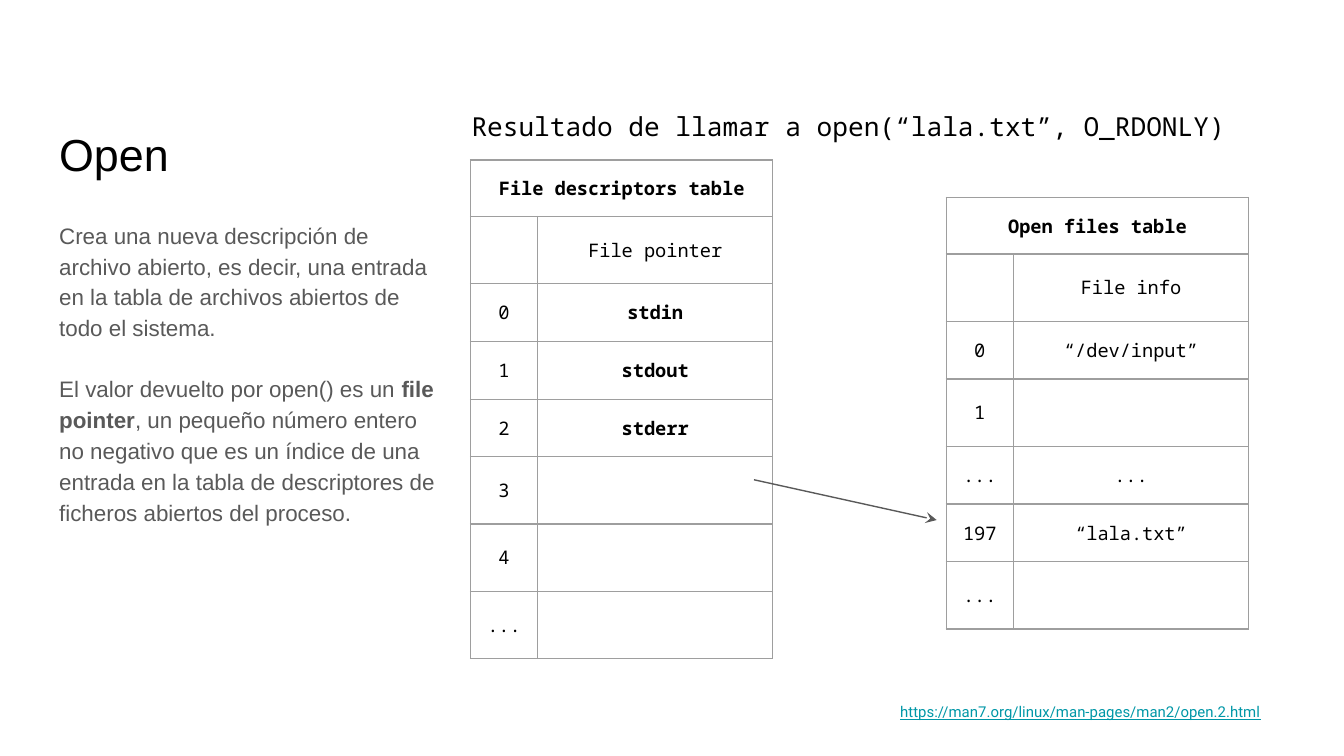
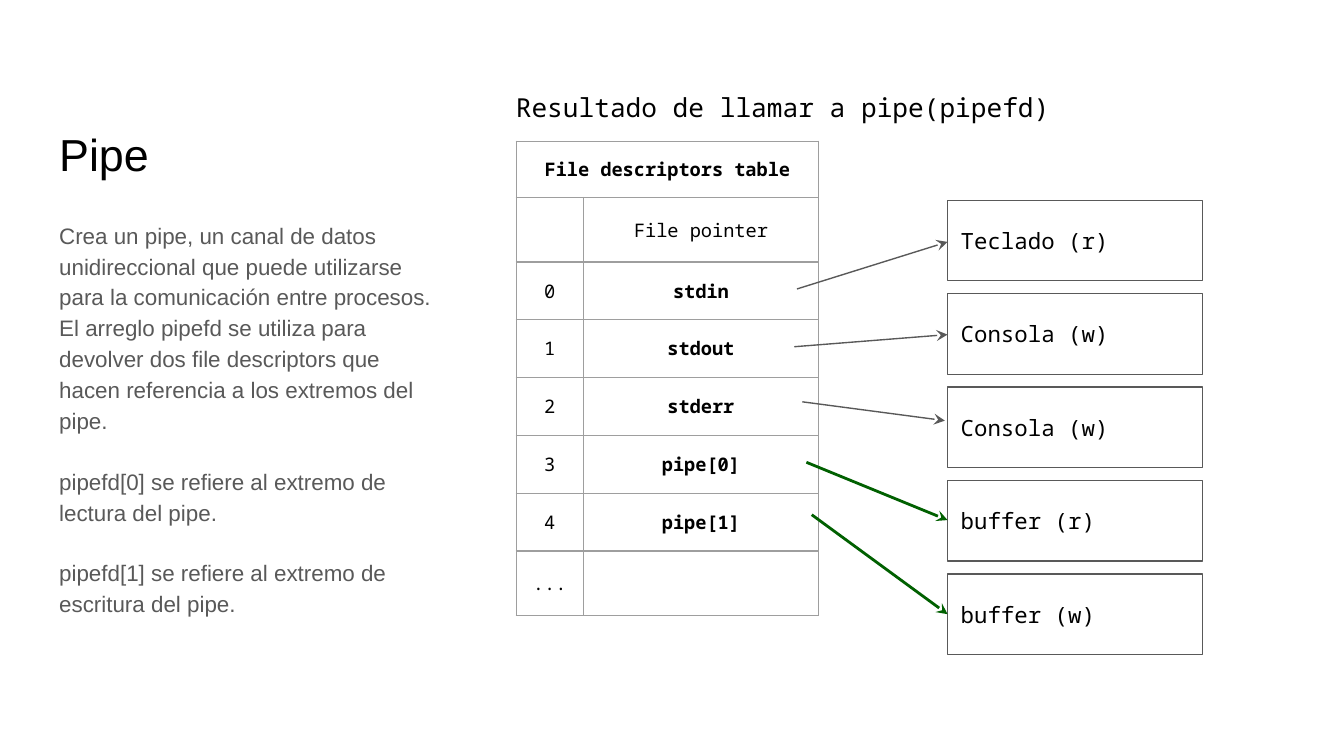
"""Builds two slides about the open and pipe system calls."""
from lxml.etree import SubElement
from pptx import Presentation
from pptx.dml.color import RGBColor
from pptx.enum.shapes import MSO_CONNECTOR, MSO_SHAPE
from pptx.enum.text import MSO_ANCHOR, MSO_AUTO_SIZE, PP_ALIGN
from pptx.oxml.ns import qn
from pptx.util import Inches, Pt

BLACK, GRAY, RULE, WHITE = "000000", "595959", "9E9E9E", "FFFFFF"
GREEN, TEAL = "006000", "0097A7"
SANS, MONO = "Arial", "Noto Sans Mono"
TITLE = dict(size=24, name=SANS, color=BLACK)
BODY = dict(size=12, name=SANS, color=GRAY)
CAPTION = dict(size=14, name=MONO, color=BLACK)
CELL = dict(size=10, name=MONO, color=BLACK)
BOX = dict(size=12, name=MONO, color=BLACK)
LINK = dict(size=8, name="Roboto", color=TEAL, underline=True)

STANDARD = [("0", "stdin"), ("1", "stdout"), ("2", "stderr")]
SLIDES = [
    dict(
        title="Open",
        body=[
            [("Crea una nueva descripción de archivo abierto, es decir, una entrada "
              "en la tabla de archivos abiertos de todo el sistema.", False)],
            [("El valor devuelto por open() es un ", False), ("file pointer", True),
             (", un pequeño número entero no negativo que es un índice de una entrada "
              "en la tabla de descriptores de ficheros abiertos del proceso.", False)],
        ],
        caption=("Resultado de llamar a open(“lala.txt”, O_RDONLY)", (3.41, 0.72, 6.31, 0.48)),
        tables=[
            dict(at=(3.5, 1.19), tall=0.5, bold=True, heads=("File descriptors table", "File pointer"),
                 rows=STANDARD + [("3", ""), ("4", ""), ("...", "")]),
            dict(at=(7.04, 1.47), tall=0.5, bold=False, heads=("Open files table", "File info"),
                 rows=[("0", "“/dev/input”"), ("1", ""), ("...", "..."),
                       ("197", "“lala.txt”"), ("...", "")]),
        ],
        arrows=[((5.61, 3.57), (6.97, 3.87), GRAY, 0.75)],
        boxes=[],
        link="https://man7.org/linux/man-pages/man2/open.2.html",
    ),
    dict(
        title="Pipe",
        body=[
            [("Crea un pipe, un canal de datos unidireccional que puede utilizarse para la "
              "comunicación entre procesos. El arreglo pipefd se utiliza para devolver dos "
              "file descriptors que hacen referencia a los extremos del pipe.", False)],
            [("pipefd[0] se refiere al extremo de lectura del pipe.", False)],
            [("pipefd[1] se refiere al extremo de escritura del pipe.", False)],
        ],
        caption=("Resultado de llamar a pipe(pipefd)", (3.74, 0.58, 4.43, 0.48)),
        tables=[
            dict(at=(3.84, 1.05), tall=0.48, bold=True, heads=("File descriptors table", "File pointer"),
                 rows=STANDARD + [("3", "pipe[0]"), ("4", "pipe[1]"), ("...", "")]),
        ],
        arrows=[
            ((5.93, 2.15), (7.05, 1.8), GRAY, 0.75),
            ((5.91, 2.58), (7.05, 2.49), GRAY, 0.75),
            ((5.97, 2.99), (7.03, 3.13), GRAY, 0.75),
            ((6, 3.44), (7.05, 3.87), GREEN, 1.5),
            ((6.04, 3.83), (7.05, 4.57), GREEN, 1.5),
        ],
        boxes=["Teclado (r)", "Consola (w)", "Consola (w)", "buffer (r)", "buffer (w)"],
        link=None,
    ),
]


def rgb(color):
    return RGBColor.from_string(color)


def inches(*values):
    return [Inches(v) for v in values]


def add_run(p, text, fmt, bold=False):
    r = p.add_run()
    r.text = text
    for key, value in {**fmt, "bold": bold}.items():
        if key == "color":
            r.font.color.rgb = rgb(value)
        else:
            setattr(r.font, key, Pt(value) if key == "size" else value)


def set_frame(tf, anchor=MSO_ANCHOR.TOP):
    frame = dict(word_wrap=True, auto_size=MSO_AUTO_SIZE.NONE, vertical_anchor=anchor)
    for side in ("left", "right", "top", "bottom"):
        frame["margin_" + side] = Inches(0.1)
    for key, value in frame.items():
        setattr(tf, key, value)


def place(shape, box):
    for key, value in zip(("left", "top", "width", "height"), inches(*box)):
        setattr(shape, key, value)


def write_line(shape, text, fmt, align=PP_ALIGN.LEFT, anchor=MSO_ANCHOR.TOP):
    set_frame(shape.text_frame, anchor)
    p = shape.text_frame.paragraphs[0]
    p.alignment = align
    add_run(p, text, fmt)


def write_body(shape, paragraphs):
    tf = shape.text_frame
    set_frame(tf)
    for i, parts in enumerate(paragraphs):
        p = tf.add_paragraph() if i else tf.paragraphs[0]
        p.line_spacing = 1.15
        p.space_before = Pt(16 if i else 0)
        pPr = p._p.get_or_add_pPr()
        pPr.set("marL", "0")
        pPr.set("indent", "0")
        SubElement(pPr, qn("a:buNone"))
        for text, bold in parts:
            add_run(p, text, BODY, bold)


def set_borders(cell):
    tcPr = cell._tc.get_or_add_tcPr()
    for i, side in enumerate(("lnL", "lnR", "lnT", "lnB")):
        ln = tcPr.makeelement(qn("a:" + side), {"w": str(Pt(0.75))})
        fill = SubElement(ln, qn("a:solidFill"))
        SubElement(fill, qn("a:srgbClr"), val=RULE)
        tcPr.insert(i, ln)


def add_grid(s, at, tall, bold, heads, rows):
    cells = [(heads[0], ""), ("", heads[1])] + rows
    heights = [0.42] + [0.43 if all(row) else tall for row in cells[1:]]
    table = s.shapes.add_table(len(cells), 2, *inches(*at, 2.25, sum(heights))).table
    table.first_row = table.horz_banding = False
    for col, width in zip(table.columns, (0.5, 1.75)):
        col.width = Inches(width)
    for i, (row, height) in enumerate(zip(cells, heights)):
        table.rows[i].height = Inches(height)
        for j, text in enumerate(row):
            cell = table.cell(i, j)
            cell.fill.solid()
            cell.fill.fore_color.rgb = rgb(WHITE)
            set_borders(cell)
            cell.vertical_anchor = MSO_ANCHOR.MIDDLE
            for side in ("left", "right", "top", "bottom"):
                setattr(cell, "margin_" + side, Inches(0.1))
            p = cell.text_frame.paragraphs[0]
            p.alignment = PP_ALIGN.CENTER
            if text:
                add_run(p, text, CELL, i == 0 or (bold and i > 1 and j == 1))
            else:
                SubElement(p._p, qn("a:endParaRPr"), sz="1000")
    table.cell(0, 0).merge(table.cell(0, 1))


def add_arrow(s, start, end, color, width):
    line = s.shapes.add_connector(MSO_CONNECTOR.STRAIGHT, *inches(*start, *end))
    line.line.color.rgb = rgb(color)
    line.line.width = Pt(width)
    SubElement(line.line._get_or_add_ln(), qn("a:tailEnd"), type="stealth")
    SubElement(line._element.spPr, qn("a:effectLst"))


def add_boxes(s, labels, top=1.49, last=4.27):
    for i, label in enumerate(labels):
        y = top + i * (last - top) / (len(labels) - 1)
        box = s.shapes.add_shape(MSO_SHAPE.RECTANGLE, *inches(7.05, y, 1.9, 0.6))
        box.shadow.inherit = False
        box.fill.solid()
        box.fill.fore_color.rgb = rgb(WHITE)
        box.line.color.rgb = rgb(GRAY)
        box.line.width = Pt(0.75)
        write_line(box, label, BOX, anchor=MSO_ANCHOR.MIDDLE)


def add_slide(prs, data):
    s = prs.slides.add_slide(prs.slide_layouts[1])
    s.background.fill.solid()
    s.background.fill.fore_color.rgb = rgb(WHITE)
    title, body = s.placeholders
    place(title, (0.34, 0.61, 3.07, 0.83))
    write_line(title, data["title"], TITLE, anchor=MSO_ANCHOR.BOTTOM)
    place(body, (0.34, 1.52, 3.07, 3.48))
    write_body(body, data["body"])
    text, box = data["caption"]
    write_line(s.shapes.add_textbox(*inches(*box)), text, CAPTION)
    for table in data["tables"]:
        add_grid(s, **table)
    add_boxes(s, data["boxes"])
    for arrow in data["arrows"]:
        add_arrow(s, *arrow)
    if data["link"]:
        link = s.shapes.add_textbox(*inches(6.2, 5.13, 3.28, 0.34))
        write_line(link, data["link"], LINK, PP_ALIGN.RIGHT)


def main():
    prs = Presentation()
    prs.slide_width = Inches(10)
    prs.slide_height = prs.slide_width * 9 // 16
    for data in SLIDES:
        add_slide(prs, data)
    prs.save("out.pptx")


if __name__ == "__main__":
    main()
